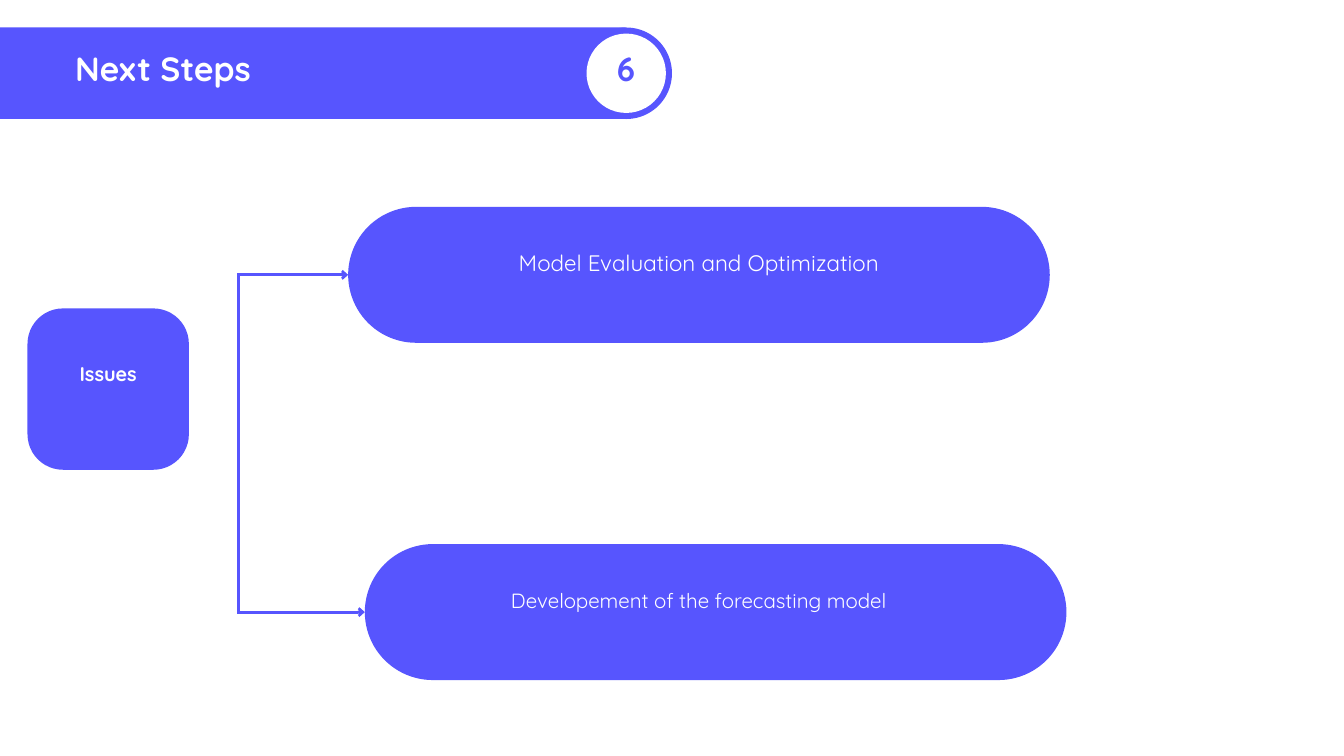
from dataclasses import dataclass

from lxml.etree import SubElement
from pptx import Presentation
from pptx.dml.color import RGBColor
from pptx.enum.shapes import MSO_CONNECTOR, MSO_SHAPE
from pptx.enum.text import PP_ALIGN
from pptx.oxml.ns import qn
from pptx.shapes.autoshape import Shape
from pptx.shapes.connector import Connector
from pptx.slide import Slide
from pptx.util import Cm, Pt


@dataclass(frozen=True)
class Theme:
    accent: RGBColor = RGBColor(0x57, 0x55, 0xFE)
    light: RGBColor = RGBColor(0xFF, 0xFF, 0xFF)
    font: str = "Quicksand"
    title_size: float = 36
    step_size: float = 24
    small_step_size: float = 22
    issue_size: float = 21.3
    line_width: float = 3


@dataclass(frozen=True)
class Box:
    """A rectangle in centimetres."""
    left: float
    top: float
    width: float
    height: float

    @property
    def middle(self) -> float:
        return self.top + self.height / 2


@dataclass(frozen=True)
class Label:
    text: str
    box: Box
    size: float
    line_spacing: float
    color: RGBColor
    bold: bool = False
    alignment: PP_ALIGN = PP_ALIGN.CENTER


@dataclass(frozen=True)
class Panel:
    kind: MSO_SHAPE
    box: Box
    fill: RGBColor
    rounding: float | None = None


THEME = Theme()
PILL_WIDTH, PILL_HEIGHT = 26.52, 5.14
FIRST_PILL = Box(13.16, 7.82, PILL_WIDTH, PILL_HEIGHT)
SECOND_PILL = Box(13.79, 20.57, PILL_WIDTH, PILL_HEIGHT)
TRUNK_X, BRANCH_START_X = 9.02, 8.97

HEADER = [
    Panel(MSO_SHAPE.RECTANGLE, Box(0, 1.04, 23.65, 3.46), THEME.accent),
    Panel(MSO_SHAPE.OVAL, Box(21.94, 1.04, 3.46, 3.46), THEME.accent),
    Panel(MSO_SHAPE.OVAL, Box(22.17, 1.27, 3, 3), THEME.light),
]
STEPS = [Panel(MSO_SHAPE.ROUNDED_RECTANGLE, box, THEME.accent, 0.5)
         for box in (FIRST_PILL, SECOND_PILL)]
ISSUES = Panel(MSO_SHAPE.ROUNDED_RECTANGLE, Box(1.04, 11.66, 6.1, 6.1),
               THEME.accent, 0.22)

LABELS = [
    Label("Next Steps", Box(2.84, 1.8, 17.7, 1.73), THEME.title_size, 43.2,
          THEME.light, True, PP_ALIGN.LEFT),
    Label("6", Box(22.94, 1.8, 1.45, 1.73), THEME.title_size, 43.2,
          THEME.accent, True),
    Label("Model Evaluation and Optimization", Box(14, 8.92, 24.82, 1.52),
          THEME.step_size, 43.2, THEME.light),
    Label("Developement of the forecasting model", Box(14, 21.77, 24.82, 1.4),
          THEME.small_step_size, 39.6, THEME.light),
    Label("Issues", Box(1.55, 13.67, 5.08, 1.04), THEME.issue_size, 25.6,
          THEME.light, True),
]


def lengths(box: Box) -> tuple[Cm, Cm, Cm, Cm]:
    return Cm(box.left), Cm(box.top), Cm(box.width), Cm(box.height)


def add_panel(slide: Slide, panel: Panel) -> Shape:
    shape = slide.shapes.add_shape(panel.kind, *lengths(panel.box))
    shape.shadow.inherit = False
    shape.fill.solid()
    shape.fill.fore_color.rgb = panel.fill
    shape.line.fill.background()
    if panel.rounding is not None:
        shape.adjustments[0] = panel.rounding
    return shape


def add_line(slide: Slide, start: tuple[float, float], end: tuple[float, float],
             arrow: bool = False) -> Connector:
    connector = slide.shapes.add_connector(
        MSO_CONNECTOR.STRAIGHT, *map(Cm, start), *map(Cm, end))
    connector.line.color.rgb = THEME.accent
    connector.line.width = Pt(THEME.line_width)
    properties = connector.line._get_or_add_ln()
    if arrow:
        SubElement(properties, qn("a:tailEnd"), type="arrow", w="med", len="sm")
    SubElement(properties.getparent(), qn("a:effectLst"))
    return connector


def add_step(slide: Slide, panel: Panel) -> None:
    """Draw a pill and the arrow that leads to its left side."""
    pill, box = add_panel(slide, panel), panel.box
    branch = add_line(slide, (BRANCH_START_X, box.middle),
                      (box.left, box.middle), arrow=True)
    branch.end_connect(pill, 1)


def add_label(slide: Slide, label: Label) -> None:
    frame = slide.shapes.add_textbox(*lengths(label.box)).text_frame
    frame.word_wrap = True
    frame.margin_left = frame.margin_right = Cm(0)
    frame.margin_top = frame.margin_bottom = Cm(0)
    paragraph = frame.paragraphs[0]
    paragraph.alignment = label.alignment
    paragraph.line_spacing = Pt(label.line_spacing)
    run = paragraph.add_run()
    run.text = label.text
    run.font.name = THEME.font
    run.font.size = Pt(label.size)
    run.font.bold = label.bold
    run.font.color.rgb = label.color


def main() -> None:
    presentation = Presentation()
    presentation.slide_width, presentation.slide_height = Cm(50.8), Cm(28.58)
    slide = presentation.slides.add_slide(presentation.slide_layouts[6])

    for panel in HEADER:
        add_panel(slide, panel)
    for step in STEPS:
        add_step(slide, step)
    add_line(slide, (TRUNK_X, SECOND_PILL.middle), (TRUNK_X, FIRST_PILL.middle))
    add_panel(slide, ISSUES)
    for label in LABELS:
        add_label(slide, label)
    presentation.save("out.pptx")


if __name__ == "__main__":
    main()
